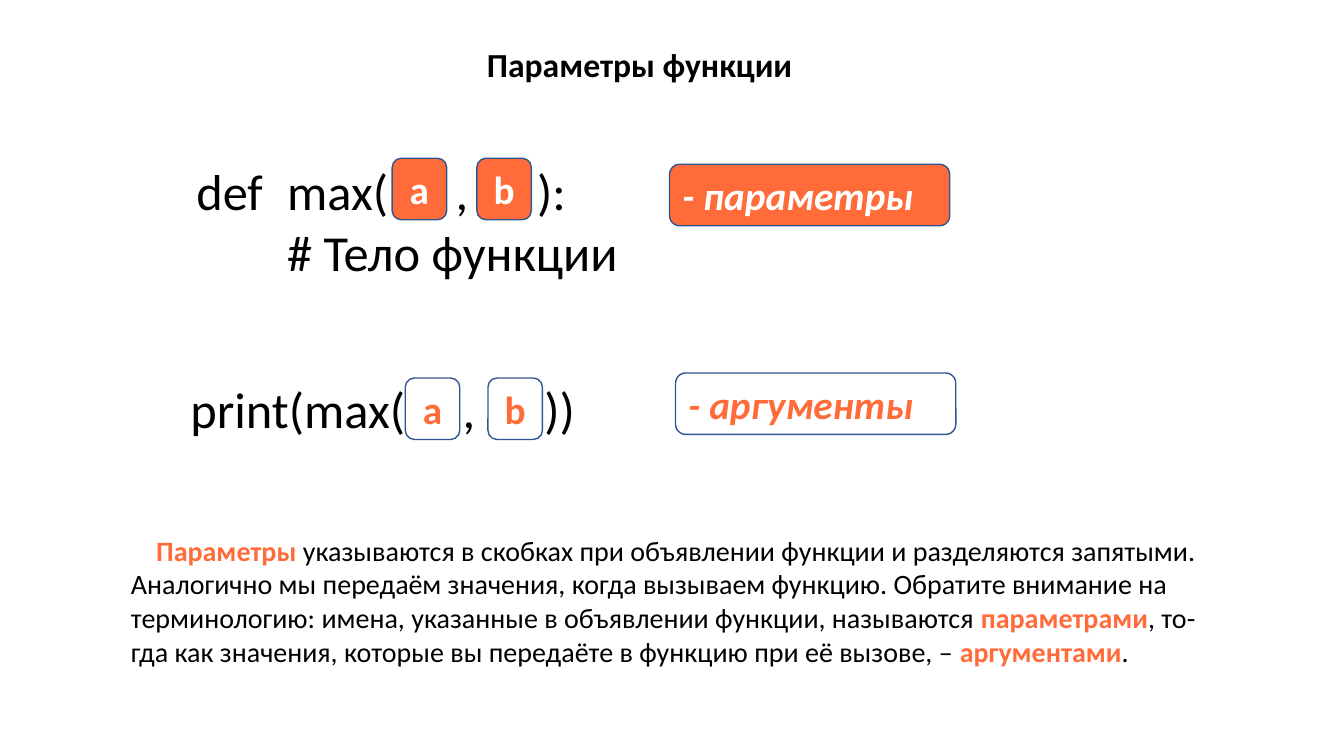
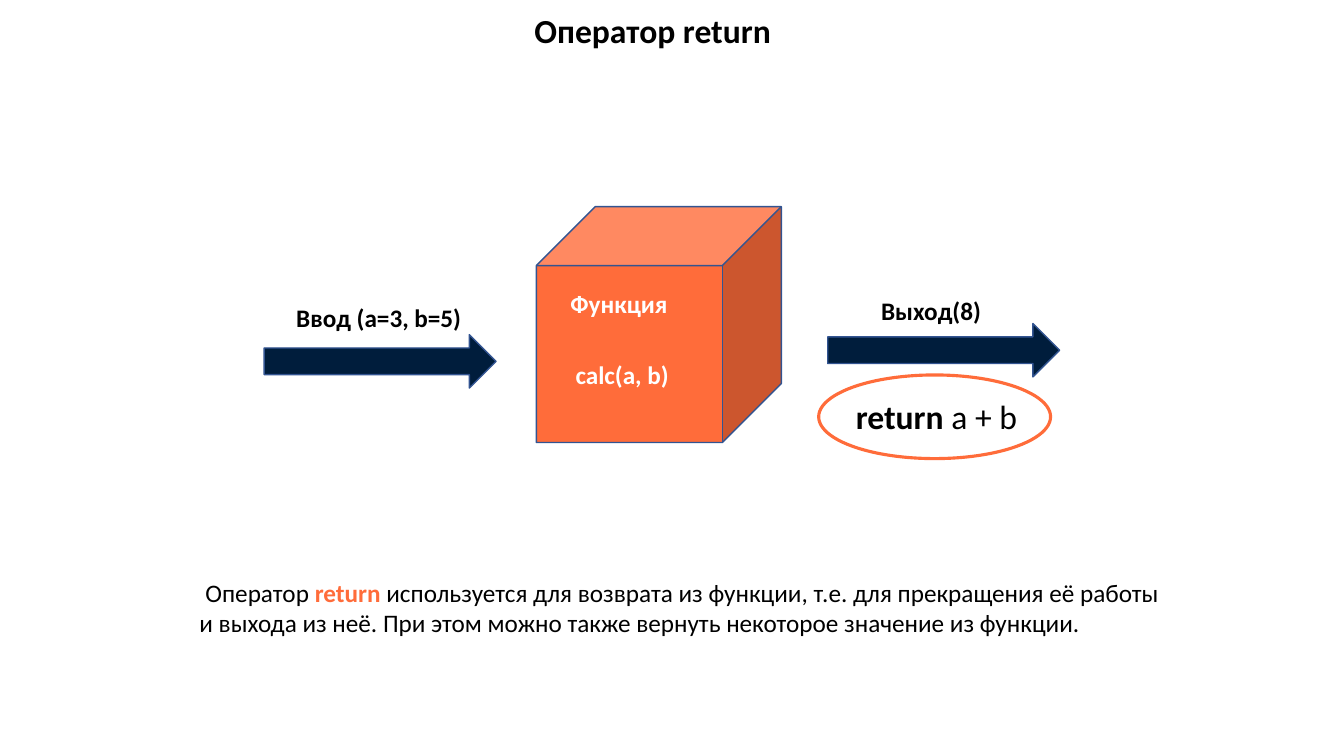
from lxml.etree import SubElement
from pptx import Presentation
from pptx.dml.color import RGBColor
from pptx.enum.shapes import MSO_SHAPE
from pptx.enum.text import MSO_ANCHOR, MSO_AUTO_SIZE, PP_ALIGN
from pptx.oxml.ns import qn
from pptx.util import Inches, Pt

ORANGE = RGBColor(0xFF, 0x6C, 0x3A)
NAVY = RGBColor(0x00, 0x1D, 0x3C)
OUTLINE = RGBColor(0x32, 0x54, 0x91)
BLACK = RGBColor(0, 0, 0)
WHITE = RGBColor(0xFF, 0xFF, 0xFF)
FONT = "Calibri"


def write(box, text, size=18, colour=BLACK, bold=False, italic=False,
          accent=ORANGE, align=PP_ALIGN.LEFT, anchor=MSO_ANCHOR.TOP,
          indent=0, tabs=()):
    """One paragraph per line; words between asterisks are bold in the accent colour."""
    frame = box.text_frame
    frame.word_wrap = True
    frame.auto_size = MSO_AUTO_SIZE.NONE
    frame.vertical_anchor = anchor
    for row, line in enumerate(text.split("\n")):
        para = frame.paragraphs[0] if row == 0 else frame.add_paragraph()
        para.alignment = align
        properties = para._p.get_or_add_pPr()
        if row == 0 and indent:
            properties.set("indent", str(Inches(indent)))
        if tabs:
            stops = SubElement(properties, qn("a:tabLst"))
            for stop in tabs:
                SubElement(stops, qn("a:tab"), pos=str(Inches(stop)), algn="l")
        for index, words in enumerate(line.split("*")):
            if not words:
                continue
            marked = index % 2 == 1
            span = para.add_run()
            span.text = words
            span.font.name = FONT
            span.font.size = Pt(size)
            span.font.bold = bold or marked
            span.font.italic = italic
            span.font.color.rgb = accent if marked else colour


def add_box(page, at, kind=None, fill=None, line=OUTLINE, weight=1):
    """A preset shape, or a text box when no kind is given."""
    place = [Inches(length) for length in at]
    if kind is None:
        return page.shapes.add_textbox(*place)
    box = page.shapes.add_shape(kind, *place)
    box.shadow.inherit = False
    if fill is None:
        box.fill.background()
    else:
        box.fill.solid()
        box.fill.fore_color.rgb = fill
    box.line.color.rgb = line
    box.line.width = Pt(weight)
    return box


deck = Presentation()
deck.slide_width, deck.slide_height = Inches(13.33), Inches(7.5)

# Pages with their titles
pages = []
for heading, left, top in (("Параметры функции", 4.73, 0.39),
                           ("Оператор return", 5.2, 0.05)):
    page = deck.slides.add_slide(deck.slide_layouts[5])
    title = page.shapes.title
    title.left, title.top = Inches(left), Inches(top)
    title.width, title.height = Inches(3.58), Inches(0.5)
    write(title, heading, size=24, bold=True)
    pages.append(page)
parameters_page, return_page = pages

# Explanation of parameters and arguments
explanation = add_box(parameters_page, (1.2, 5.24, 11.29, 1.78))
write(explanation,
      "*Параметры* указываются в скобках при объявлении функции и разделяются запятыми.\n"
      "Аналогично мы передаём значения, когда вызываем функцию. Обратите внимание на\n"
      "терминологию: имена, указанные в объявлении функции, называются *параметрами*, то-\n"
      "гда как значения, которые вы передаёте в функцию при её вызове, – *аргументами*.",
      size=20, indent=0.25)

# Code lines, with tab stops that leave room for the variable tiles
definition = add_box(parameters_page, (1.85, 1.54, 4.84, 1.31))
write(definition, "def\tmax(\t,\t):\n\t# Тело функции", size=36, tabs=(0.9, 2.57, 3.38))
call = add_box(parameters_page, (1.79, 3.7, 4.78, 0.71))
write(call, "print(max(\t,\t))", size=36, tabs=(2.7, 3.51))

# Variable tiles and the label of each code line
TILE_WIDTH, TILE_HEIGHT, LABEL_WIDTH = 0.54, 0.61, 2.78
for fill, ink, tile_top, tile_lefts, label, label_left, label_top in (
        (ORANGE, WHITE, 1.57, (3.89, 4.73), "- параметры", 6.64, 1.63),
        (WHITE, ORANGE, 3.75, (4.02, 4.84), "- аргументы", 6.7, 3.7)):
    for name, left in zip("ab", tile_lefts):
        tile = add_box(parameters_page, (left, tile_top, TILE_WIDTH, TILE_HEIGHT),
                       MSO_SHAPE.ROUNDED_RECTANGLE, fill)
        write(tile, name, size=28, colour=ink, bold=True,
              align=PP_ALIGN.CENTER, anchor=MSO_ANCHOR.MIDDLE)
    tag = add_box(parameters_page, (label_left, label_top, LABEL_WIDTH, TILE_HEIGHT),
                  MSO_SHAPE.ROUNDED_RECTANGLE, fill)
    write(tag, label, size=28, colour=ink, bold=True, italic=True, anchor=MSO_ANCHOR.MIDDLE)

# Function cube with input and output arrows
add_box(return_page, (5.32, 2.05, 2.43, 2.34), MSO_SHAPE.CUBE, ORANGE)
for left, top in ((2.62, 3.32), (8.21, 3.21)):
    add_box(return_page, (left, top, 2.3, 0.53), MSO_SHAPE.RIGHT_ARROW, NAVY)
for caption, left, top, width, ink in (
        ("calc(a, b)", 5.61, 3.52, 1.34, WHITE),
        ("Функция", 5.56, 2.81, 1.34, WHITE),
        ("Ввод (a=3, b=5)", 2.84, 2.95, 2.16, BLACK),
        ("Выход(8)", 8.64, 2.88, 1.25, BLACK)):
    write(add_box(return_page, (left, top, width, 0.4)), caption, colour=ink, bold=True)

# Circled return statement
statement = add_box(return_page, (8.39, 3.88, 3, 0.5))
write(statement, "*return* a + b", size=24, accent=BLACK)
add_box(return_page, (8.12, 3.72, 2.3, 0.83), MSO_SHAPE.OVAL, line=ORANGE, weight=2.25)

# Explanation of the return statement
summary = add_box(return_page, (1.88, 5.68, 9.87, 0.71))
write(summary,
      "Оператор *return* используется для возврата из функции, т.е. для прекращения её работы\n"
      "и выхода из неё. При этом можно также вернуть некоторое значение из функции.",
      indent=0.06)

deck.save("out.pptx")
